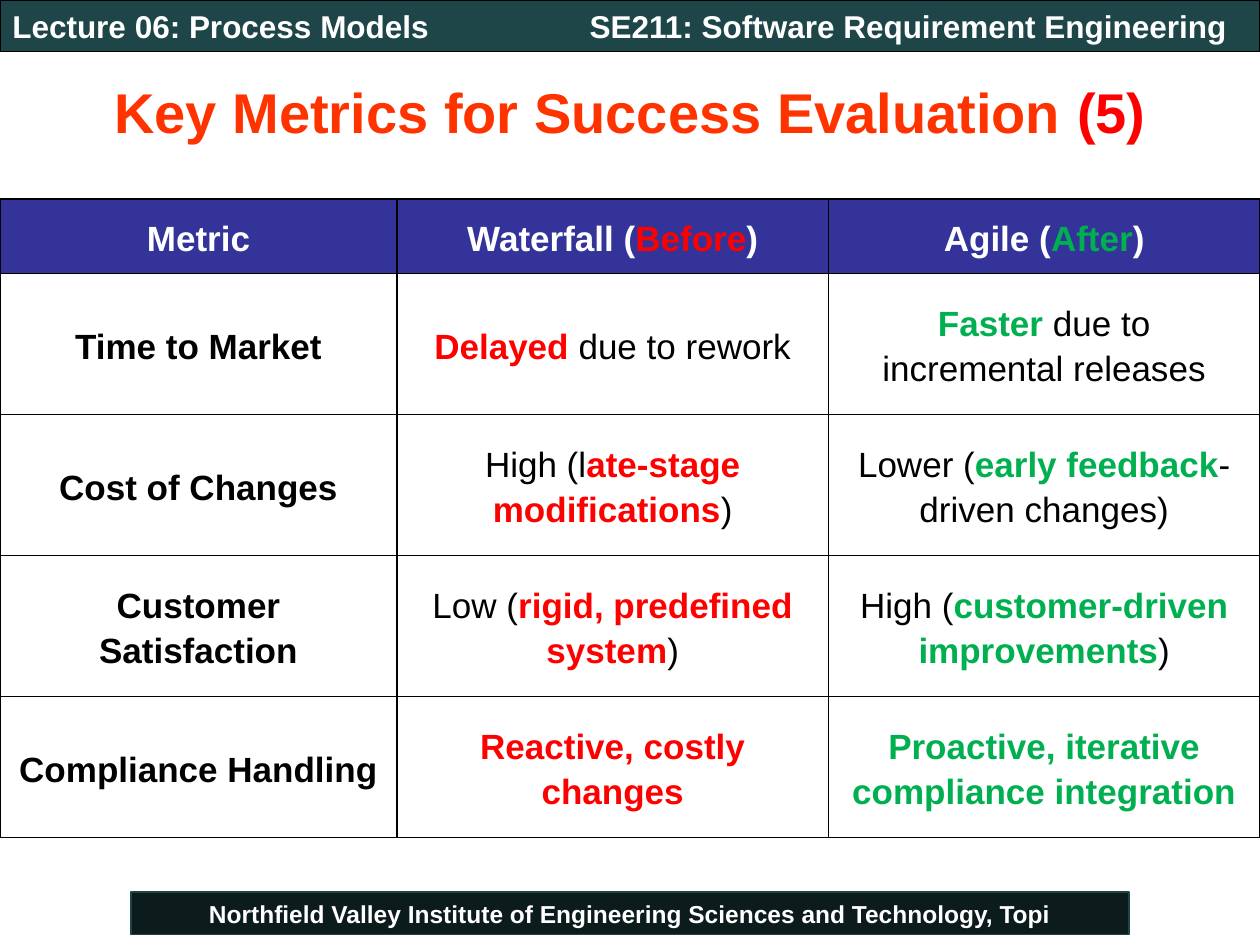
from lxml import etree
from pptx import Presentation
from pptx.dml.color import RGBColor
from pptx.enum.shapes import MSO_SHAPE
from pptx.enum.text import MSO_ANCHOR, PP_ALIGN
from pptx.oxml.ns import qn
from pptx.util import Inches, Pt

RECT = MSO_SHAPE.RECTANGLE
MIDDLE = MSO_ANCHOR.MIDDLE
LEFT, CENTER = PP_ALIGN.LEFT, PP_ALIGN.CENTER

COLORS = {
    "teal": "1E4649",
    "dark": "0C1C1D",
    "orange": "FF3300",
    "red": "FF0000",
    "green": "00B050",
    "navy": "333399",
    "black": "000000",
    "white": "FFFFFF",
}

COL_WIDTHS = [3.15, 3.425, 3.425]
ROW_HEIGHTS = [0.59] + [1.12] * 4

# Each cell is a list of (text, colour) runs.
ROWS = [
    [[("Metric", "white")],
     [("Waterfall (", "white"), ("Before", "red"), (")", "white")],
     [("Agile (", "white"), ("After", "green"), (")", "white")]],
    [[("Time to Market", "black")],
     [("Delayed", "red"), (" due to rework", "black")],
     [("Faster", "green"), (" due to incremental releases", "black")]],
    [[("Cost of Changes", "black")],
     [("High (l", "black"), ("ate-stage modifications", "red"), (")", "black")],
     [("Lower (", "black"), ("early feedback", "green"), ("-driven changes)", "black")]],
    [[("Customer Satisfaction", "black")],
     [("Low (", "black"), ("rigid, predefined system", "red"), (")", "black")],
     [("High (", "black"), ("customer-driven improvements", "green"), (")", "black")]],
    [[("Compliance Handling", "black")],
     [("Reactive, costly changes", "red")],
     [("Proactive, iterative compliance integration", "green")]],
]


def rgb(name):
    return RGBColor.from_string(COLORS[name])


class SlideBuilder:
    font = "Arial"

    def __init__(self, slide):
        self.slide = slide

    def add_text(self, tf, runs, size, align=LEFT, plain=None):
        """Fill a frame with bold runs, except those in the plain colour."""
        tf.word_wrap = True
        tf.vertical_anchor = MIDDLE
        p = tf.paragraphs[0]
        p.alignment = align
        p.font.name, p.font.size = self.font, Pt(size)
        for text, color in runs:
            r = p.add_run()
            r.text = text
            r.font.bold = color != plain
            r.font.color.rgb = rgb(color)
        return p

    def bar(self, box, text, size, fill, line, align=LEFT):
        sp = self.slide.shapes.add_shape(RECT, *map(Inches, box))
        sp.shadow.inherit = False
        sp.fill.solid()
        sp.fill.fore_color.rgb = rgb(fill)
        sp.line.color.rgb = rgb(line)
        sp.line.width = Pt(0.75)
        self.add_text(sp.text_frame, [(text, "white")], size, align)

    def label(self, box, text, size, indent):
        tf = self.slide.shapes.add_textbox(*map(Inches, box)).text_frame
        tf.margin_left = Inches(indent)
        self.add_text(tf, [(text, "white")], size)

    def title(self, box, runs, size):
        sp = self.slide.shapes.title
        sp.left, sp.top, sp.width, sp.height = map(Inches, box)
        self.add_text(sp.text_frame, runs, size, CENTER)

    def border(self, cell, color, width):
        tc_pr = cell._tc.get_or_add_tcPr()
        for side in ("lnL", "lnR", "lnT", "lnB"):
            ln = etree.SubElement(tc_pr, qn(f"a:{side}"), w=str(Pt(width)))
            fill = etree.SubElement(ln, qn("a:solidFill"))
            etree.SubElement(fill, qn("a:srgbClr"), val=COLORS[color])

    def table(self, left, top, rows, size):
        box = (left, top, sum(COL_WIDTHS), sum(ROW_HEIGHTS))
        table = self.slide.shapes.add_table(
            len(rows), len(COL_WIDTHS), *map(Inches, box)).table
        table.first_row = table.horz_banding = False
        for col, width in zip(table.columns, COL_WIDTHS):
            col.width = Inches(width)
        for i, (row, height) in enumerate(zip(rows, ROW_HEIGHTS)):
            table.rows[i].height = Inches(height)
            for j, runs in enumerate(row):
                cell = table.cell(i, j)
                cell.margin_left = cell.margin_right = Inches(0.14)
                cell.margin_top = cell.margin_bottom = 0
                self.border(cell, "black", 1)
                cell.fill.solid()
                cell.fill.fore_color.rgb = rgb("white" if i else "navy")
                p = self.add_text(cell.text_frame, runs, size, CENTER,
                                  plain="black" if j else None)
                cell.vertical_anchor = MIDDLE
                p.line_spacing = 1.15
                p.space_after = Pt(10)


def main():
    prs = Presentation()
    prs.slide_width, prs.slide_height = Inches(10), Inches(7.5)
    s = SlideBuilder(prs.slides.add_slide(prs.slide_layouts[5]))
    s.bar((1.04, 7.08, 7.92, 0.34),
          "Northfield Valley Institute of Engineering Sciences and Technology, Topi",
          14, "dark", "teal", CENTER)
    s.bar((0, 0, 10, 0.41), "Lecture 06: Process Models", 18, "teal", "black")
    s.label((3.58, 0, 6.42, 0.41), "SE211: Software Requirement Engineering", 18, 1.1)
    s.title((0, 0.42, 10, 0.92),
            [("Key Metrics for Success Evaluation ", "orange"), ("(5)", "red")], 32)
    s.table(0, 1.58, ROWS, 20)
    prs.save("out.pptx")


if __name__ == "__main__":
    main()
